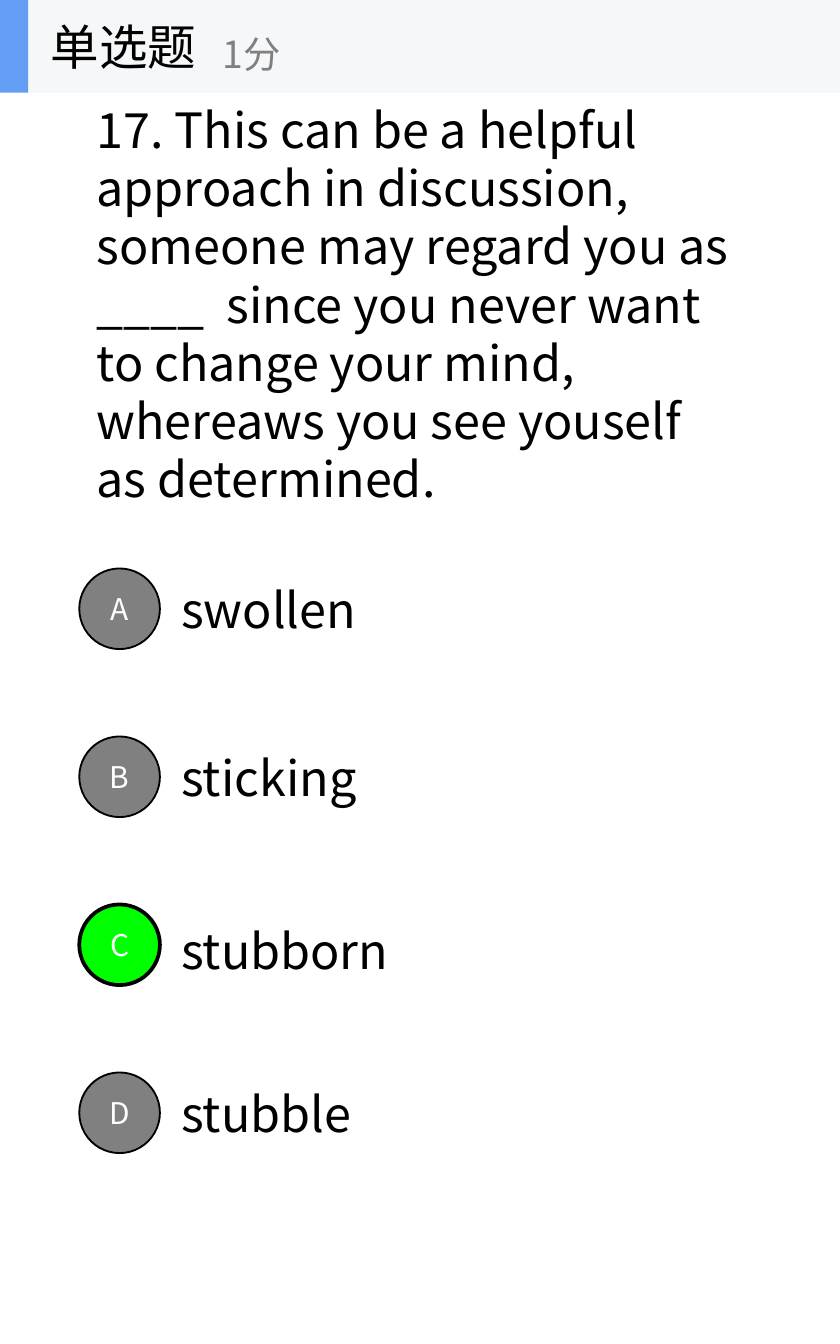
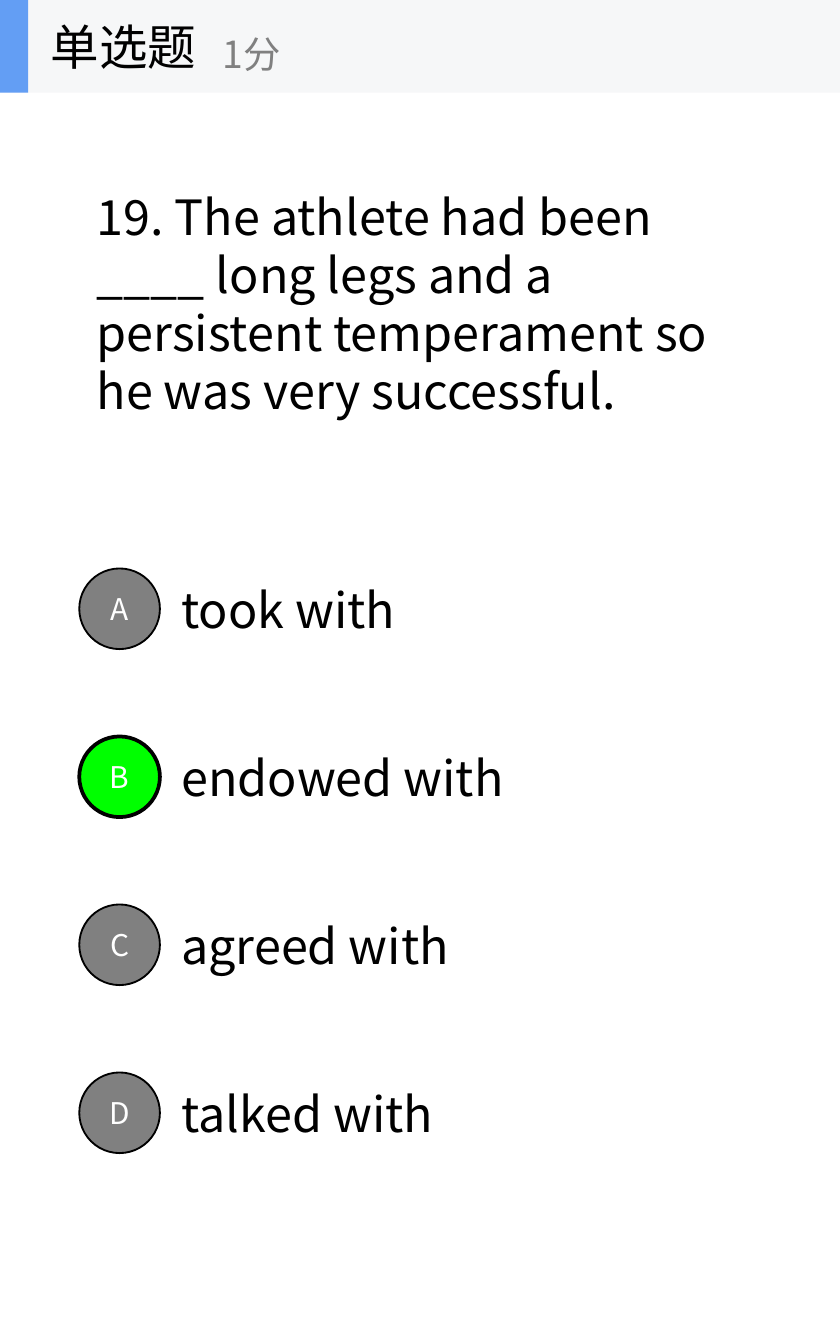
from dataclasses import dataclass

from lxml import etree
from pptx import Presentation
from pptx.dml.color import RGBColor
from pptx.enum.shapes import MSO_SHAPE
from pptx.enum.text import MSO_ANCHOR, MSO_AUTO_SIZE, PP_ALIGN
from pptx.oxml.ns import qn
from pptx.util import Inches, Pt

RECTANGLE = MSO_SHAPE.RECTANGLE
OVAL = MSO_SHAPE.OVAL
MIDDLE = MSO_ANCHOR.MIDDLE
CENTER = PP_ALIGN.CENTER
GROW = MSO_AUTO_SIZE.SHAPE_TO_FIT_TEXT

BLACK = RGBColor(0x00, 0x00, 0x00)
WHITE = RGBColor(0xFF, 0xFF, 0xFF)
GRAY = RGBColor(0x80, 0x80, 0x80)
GREEN = RGBColor(0x00, 0xFF, 0x00)
BAND = RGBColor(0xF6, 0xF7, 0xF8)
ACCENT = RGBColor(0x63, 0x9E, 0xF4)

FONT = "Noto Sans CJK SC"
BODY_SIZE = 26
LINE_PITCH = 31.2
PAGE_WIDTH = 6.25
PAGE_HEIGHT = 10
BAND_HEIGHT = 0.69
CIRCLE_LEFT = 0.59
CIRCLE_SIZE = 0.6
FIRST_CIRCLE_TOP = 4.23
OPTION_STEP = 1.25
OPTION_LEFT = 1.25
OPTION_HEIGHT = 0.54
OPTION_INSET = (CIRCLE_SIZE - OPTION_HEIGHT) / 2


@dataclass
class Option:
    """One answer, with the width of its box and any downward shift."""

    text: str
    width: float
    shift: float = 0


@dataclass
class Question:
    """A question, the place of its text, its options and the right letter."""

    text: str
    area: tuple
    options: tuple
    answer: str


QUESTIONS = (
    Question(
        "17. This can be a helpful approach in discussion, someone may regard "
        "you as ____  since you never want to change your mind, whereaws you "
        "see youself as determined.",
        (0.62, 0.68, 5, 3.16),
        (
            Option("swollen", 3.1),
            Option("sticking", 3.21),
            Option("stubborn", 3.63, 0.04),
            Option("stubble", 2.92),
        ),
        "C",
    ),
    Question(
        "19. The athlete had been ____ long legs and a persistent temperament "
        "so he was very successful.",
        (0.62, 1.33, 4.91, 1.85),
        (
            Option("took with", 4.14),
            Option("endowed with", 3.77),
            Option("agreed with", 3.45),
            Option("talked with", 3.85),
        ),
        "B",
    ),
)


def write_text(shape, text, size, color):
    """Put vertically centred text in a shape and return its paragraph."""
    frame = shape.text_frame
    frame.text = text
    frame.word_wrap = True
    frame.vertical_anchor = MIDDLE
    para = frame.paragraphs[0]
    span = para.runs[0]
    span.font.name = FONT
    span.font.size = Pt(size)
    span.font.color.rgb = color
    east_asian = etree.SubElement(span.font._element, qn("a:ea"))
    east_asian.set("typeface", FONT)
    return para


def add_label(shapes, area, text, size, color):
    """Add a text box of fixed size."""
    box = shapes.add_textbox(*map(Inches, area))
    write_text(box, text, size, color)
    return box


def add_body_text(page, area, text):
    """Add a box of body text that grows with its content."""
    box = add_label(page.shapes, area, text, BODY_SIZE, BLACK)
    box.text_frame.auto_size = GROW
    box.text_frame.paragraphs[0].line_spacing = Pt(LINE_PITCH)


def add_filled_shape(shapes, preset, area, color):
    """Add a plain shape with a solid fill and no outline."""
    shape = shapes.add_shape(preset, *map(Inches, area))
    shape.shadow.inherit = False
    shape.fill.solid()
    shape.fill.fore_color.rgb = color
    shape.line.fill.background()
    return shape


def add_letter_circle(page, top, letter, is_answer):
    """Add the circle with an option's letter, green for the answer."""
    area = (CIRCLE_LEFT, top, CIRCLE_SIZE, CIRCLE_SIZE)
    circle = add_filled_shape(page.shapes, OVAL, area, GREEN if is_answer else GRAY)
    circle.line.color.rgb = BLACK
    circle.line.width = Pt(2 if is_answer else 1)
    write_text(circle, letter, 16, WHITE).alignment = CENTER


def add_header(page):
    """Add the grouped band with the question type and its score."""
    shapes = page.shapes.add_group_shape().shapes
    add_filled_shape(shapes, RECTANGLE, (0, 0, PAGE_WIDTH, BAND_HEIGHT), BAND)
    add_filled_shape(shapes, RECTANGLE, (0, 0, 0.21, BAND_HEIGHT), ACCENT)
    add_label(shapes, (0.28, 0, 2.08, BAND_HEIGHT), "单选题", 26, BLACK)
    add_label(shapes, (1.56, 0.12, 2.5, 0.56), "1分", 20, GRAY)


def add_question_page(deck, question):
    """Add a slide with one question and its lettered options."""
    page = deck.slides.add_slide(deck.slide_layouts[6])
    add_body_text(page, question.area, question.text)
    for index, (letter, option) in enumerate(zip("ABCD", question.options)):
        top = FIRST_CIRCLE_TOP + index * OPTION_STEP
        text_top = top + OPTION_INSET + option.shift
        area = (OPTION_LEFT, text_top, option.width, OPTION_HEIGHT)
        add_body_text(page, area, option.text)
        add_letter_circle(page, top, letter, letter == question.answer)
    add_header(page)


def main():
    """Build the quiz deck and save it."""
    deck = Presentation()
    deck.slide_width = Inches(PAGE_WIDTH)
    deck.slide_height = Inches(PAGE_HEIGHT)
    for question in QUESTIONS:
        add_question_page(deck, question)
    deck.save("out.pptx")


if __name__ == "__main__":
    main()
